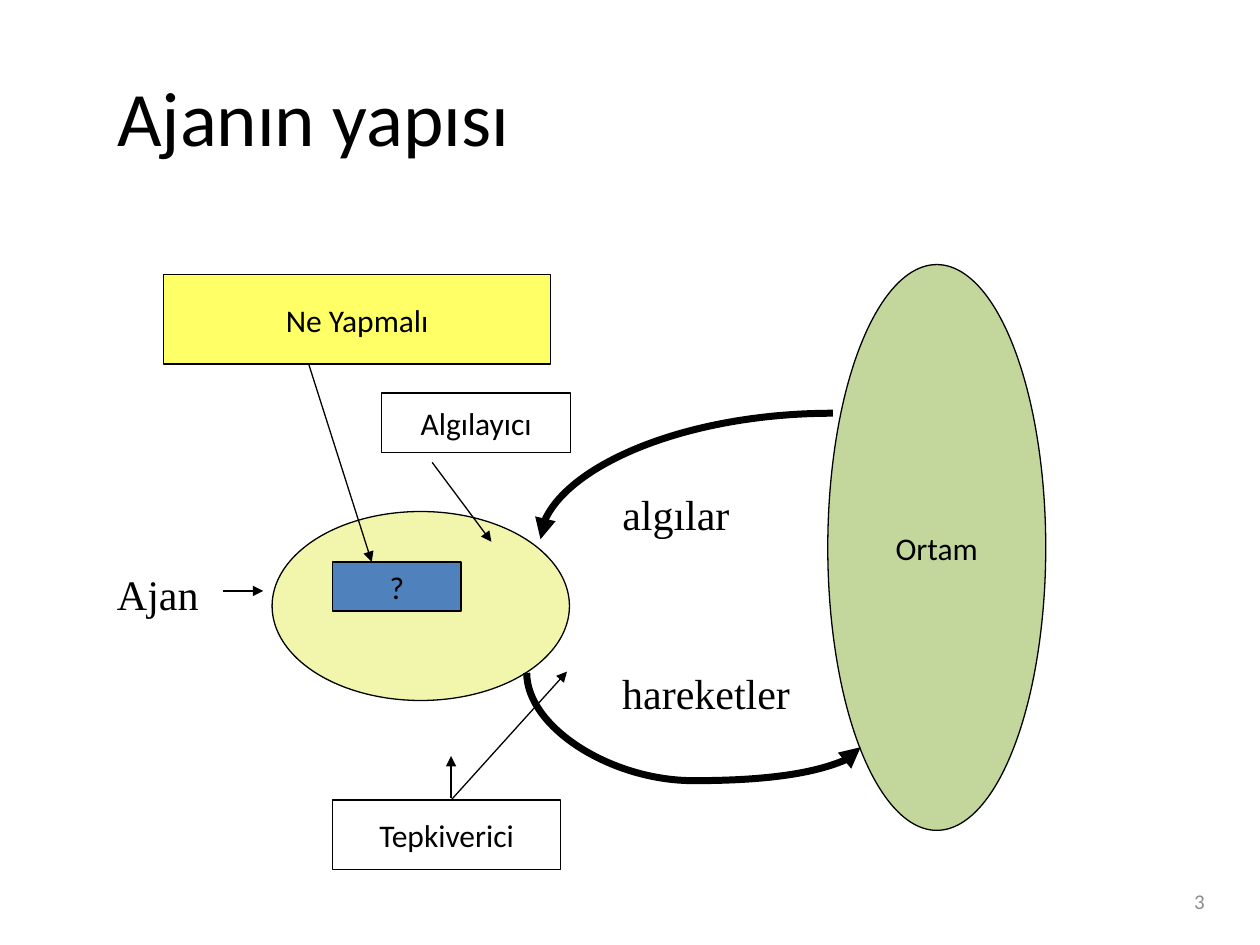
from dataclasses import dataclass

from pptx import Presentation
from pptx.dml.color import RGBColor
from pptx.enum.shapes import MSO_CONNECTOR as Connector, MSO_SHAPE as Shape
from pptx.enum.text import MSO_ANCHOR as Anchor, PP_ALIGN as Align
from pptx.oxml.ns import qn
from pptx.util import Inches, Pt


@dataclass(frozen=True)
class Theme:
    """Colours, fonts and type sizes of the slide."""
    ink: str = "000000"
    muted: str = "8C8C8C"
    paper: str = "FFFFFF"
    environment: str = "C3D69B"
    agent: str = "F2F6AC"
    decision: str = "4F81BD"
    question: str = "FFFF66"
    sans: str = "Calibri"
    serif: str = "Times New Roman"
    title_size: float = 44
    label_size: float = 24
    shape_size: float = 18
    number_size: float = 12
    thin: float = 0.75
    thick: float = 4


class DiagramSlide:
    """Draws diagram elements on one slide in one style."""

    def __init__(self, presentation, theme):
        """Add a title-only slide."""
        self.theme = theme
        self.slide = presentation.slides.add_slide(presentation.slide_layouts[5])

    def set_text(self, shape, text, size, font, color, align=Align.LEFT, anchor=Anchor.MIDDLE, wrap=True):
        """Fill a shape with one formatted paragraph."""
        frame = shape.text_frame
        frame.text = text
        frame.word_wrap = wrap
        frame.vertical_anchor = anchor
        paragraph = frame.paragraphs[0]
        paragraph.alignment = align
        for run in paragraph.runs:
            run.font.size = Pt(size)
            run.font.name = font
            run.font.color.rgb = RGBColor.from_string(color)

    def title(self, text, left, top, width, height):
        """Place and format the title placeholder."""
        shape = self.slide.shapes.title
        shape.left, shape.top = Inches(left), Inches(top)
        shape.width, shape.height = Inches(width), Inches(height)
        self.set_text(shape, text, self.theme.title_size, self.theme.sans, self.theme.ink)

    def node(self, kind, fill, left, top, width, height, text=""):
        """Add an outlined shape with a centred caption."""
        shape = self.slide.shapes.add_shape(
            kind, Inches(left), Inches(top), Inches(width), Inches(height))
        shape.shadow.inherit = False
        shape.fill.solid()
        shape.fill.fore_color.rgb = RGBColor.from_string(fill)
        shape.line.color.rgb = RGBColor.from_string(self.theme.ink)
        shape.line.width = Pt(self.theme.thin)
        if text:
            self.set_text(shape, text, self.theme.shape_size, self.theme.sans,
                          self.theme.ink, Align.CENTER, wrap=False)

    def text_box(self, left, top, width, height):
        """Add an empty text box."""
        return self.slide.shapes.add_textbox(
            Inches(left), Inches(top), Inches(width), Inches(height))

    def label(self, text, left, top, width, wrap=False):
        """Add a serif label."""
        self.set_text(self.text_box(left, top, width, 0.5), text, self.theme.label_size,
                      self.theme.serif, self.theme.ink, anchor=Anchor.TOP, wrap=wrap)

    def number(self, text, left, top, width, height):
        """Add the slide number."""
        self.set_text(self.text_box(left, top, width, height), text, self.theme.number_size,
                      self.theme.sans, self.theme.muted, Align.RIGHT)

    def arrow(self, start, end, width=None, kind=Connector.STRAIGHT):
        """Add a connector with a triangle at its end."""
        connector = self.slide.shapes.add_connector(
            kind, *(Inches(value) for value in (*start, *end)))
        connector.line.color.rgb = RGBColor.from_string(self.theme.ink)
        connector.line.width = Pt(width or self.theme.thin)
        properties = connector.element.spPr
        outline = properties.find(qn("a:ln"))
        head = outline.makeelement(qn("a:tailEnd"), {"type": "triangle"})
        outline.append(head)
        properties.append(properties.makeelement(qn("a:effectLst"), {}))
        return properties

    def curve(self, start, end, preset, rotation=0, bend=None):
        """Add a thick curved arrow, its box turned by rotation degrees."""
        properties = self.arrow(start, end, self.theme.thick, Connector.CURVE)
        properties.find(qn("a:xfrm")).set("rot", str(rotation * 60000))
        geometry = properties.find(qn("a:prstGeom"))
        geometry.set("prst", preset)
        if bend:
            adjustments = geometry.find(qn("a:avLst"))
            guide = {"name": "adj1", "fmla": f"val {round(bend * 100000)}"}
            adjustments.append(adjustments.makeelement(qn("a:gd"), guide))


def main():
    """Build the agent structure slide."""
    presentation = Presentation()
    presentation.slide_width, presentation.slide_height = Inches(10), Inches(7.5)
    theme = Theme()
    diagram = DiagramSlide(presentation, theme)

    diagram.title("Ajanın yapısı", 0.83, 0.29, 8.83, 1.25)
    diagram.node(Shape.OVAL, theme.environment, 6.57, 2.1, 1.73, 4.49, "Ortam")
    diagram.node(Shape.OVAL, theme.agent, 2.16, 4.06, 2.36, 1.5)
    diagram.label("Ajan", 0.83, 4.46, 0.94, wrap=True)
    diagram.curve((6.61, 3.28), (4.29, 4.28), "curvedConnector2")
    diagram.curve((5.8, 4.31), (5.21, 6.96), "curvedConnector3", 270, 1.45)
    diagram.label("algılar", 4.84, 3.83, 1.05)
    diagram.label("hareketler", 4.84, 5.25, 1.53)

    for text, fill, *box in (
        ("?", theme.decision, 2.64, 4.46, 1.02, 0.39),
        ("Algılayıcı", theme.paper, 3.03, 3.12, 1.5, 0.47),
        ("Tepkiverici", theme.paper, 2.64, 6.35, 1.81, 0.55),
        ("Ne Yapmalı", theme.question, 1.3, 2.18, 3.07, 0.71),
    ):
        diagram.node(Shape.RECTANGLE, fill, *box, text)

    for start, end in (
        ((3.43, 3.67), (3.9, 4.3)),
        ((2.45, 2.89), (2.95, 4.46)),
        ((3.58, 6.35), (4.5, 5.33)),
        ((3.58, 6.33), (3.58, 6)),
        ((1.77, 4.69), (2.09, 4.69)),
    ):
        diagram.arrow(start, end)

    diagram.number("3", 7.33, 6.95, 2.33, 0.4)
    presentation.save("out.pptx")


if __name__ == "__main__":
    main()
